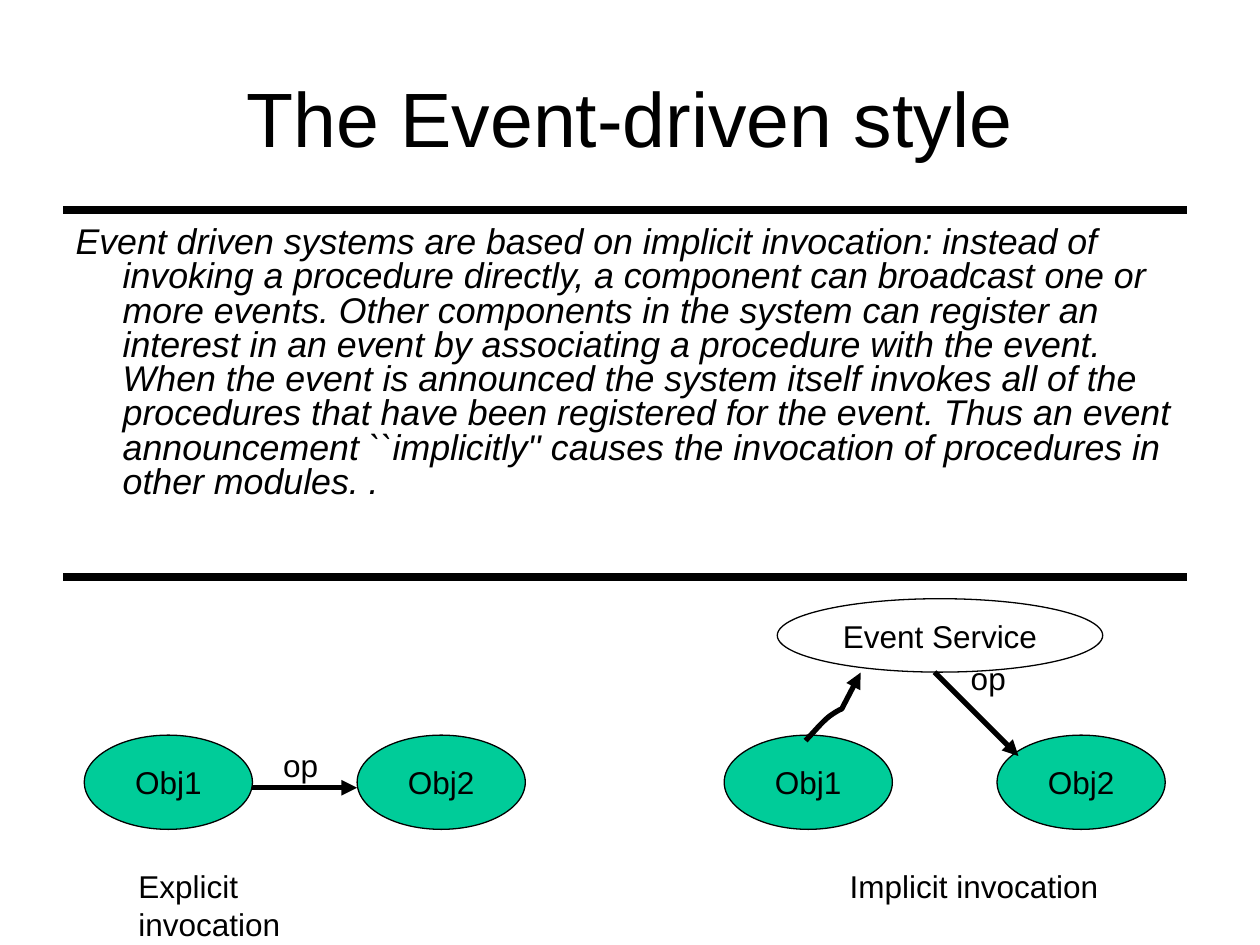
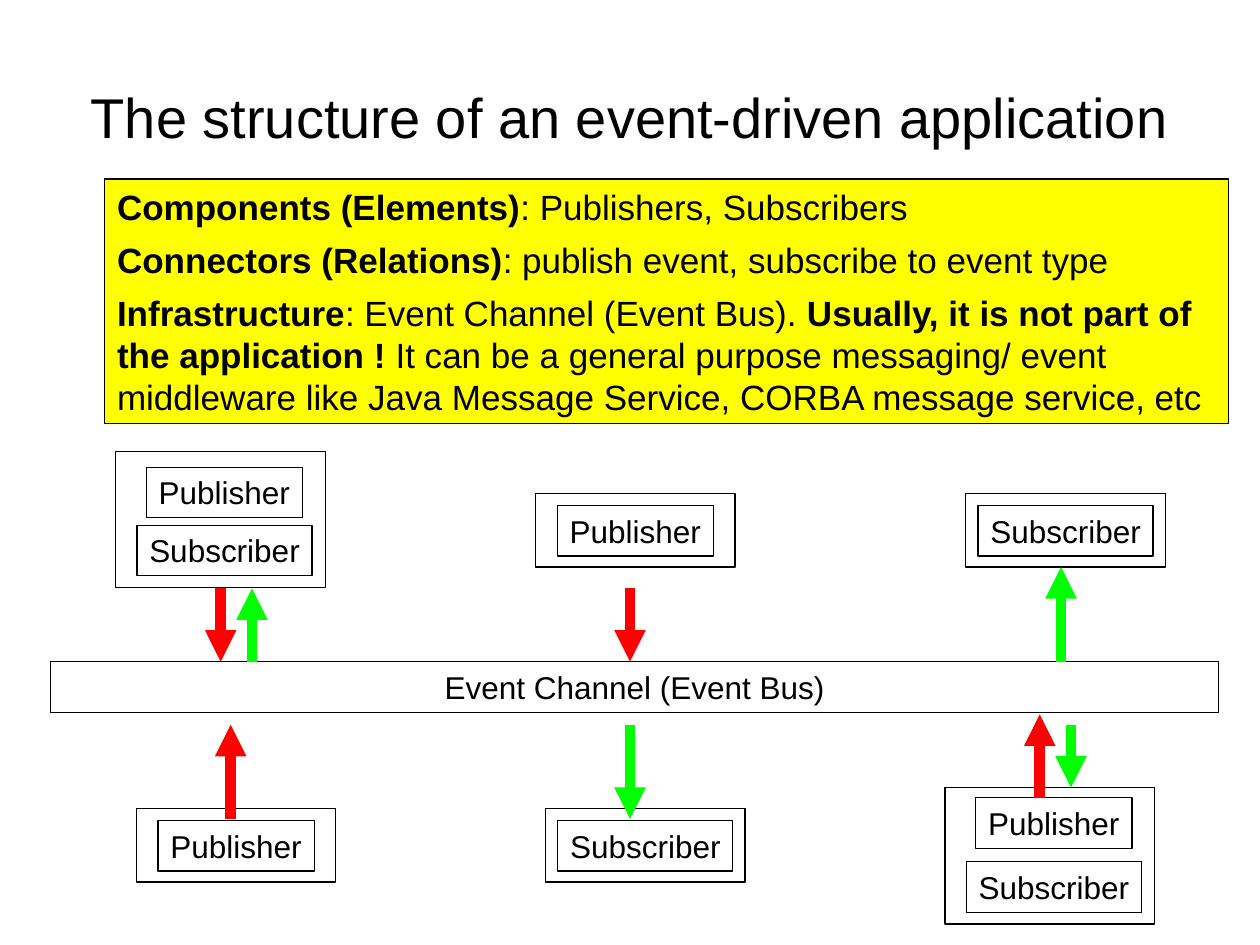
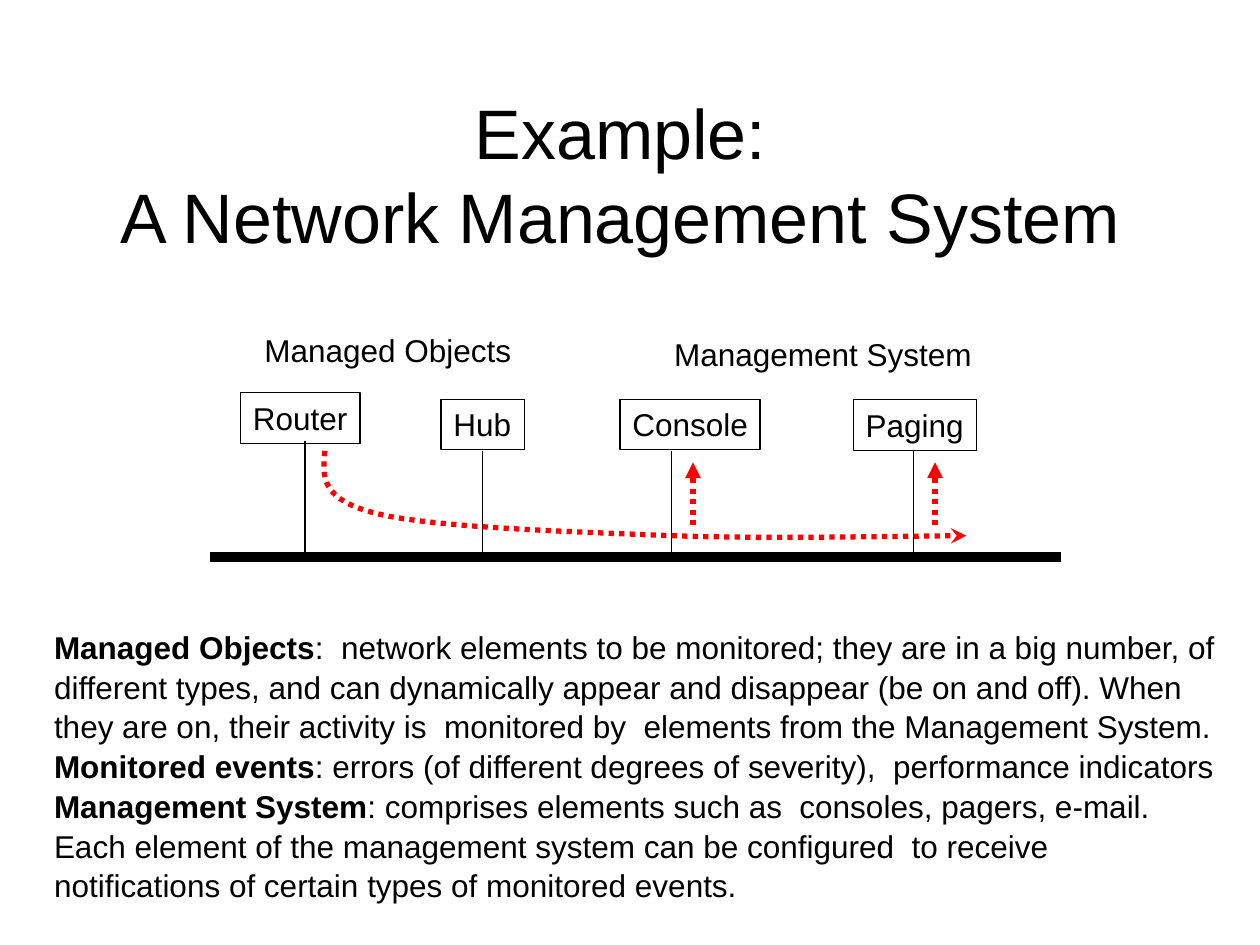
from pptx import Presentation
from pptx import util as u
from pptx.dml.color import RGBColor
from pptx.enum import dml, shapes, text
from pptx.oxml.ns import qn
from lxml import etree

COLORS = {"ink": "000000", "object": "00CC99", "note": "FFFF00",
          "publish": "FF0000", "notify": "00FF00"}
LABEL = {"name": "Arial", "size": u.Pt(18)}
NOTE = {**LABEL, "size": u.Pt(20)}
LABEL_H = 1.02
TITLE_ONLY, TITLE_BODY = 5, 1
RECT, OVAL = shapes.MSO_SHAPE.RECTANGLE, shapes.MSO_SHAPE.OVAL
CENTER, LEFT = text.PP_ALIGN.CENTER, text.PP_ALIGN.LEFT
TOP, MIDDLE = text.MSO_ANCHOR.TOP, text.MSO_ANCHOR.MIDDLE


def rgb(name):
    return RGBColor.from_string(COLORS[name])


def cm(*values):
    return [u.Cm(v) for v in values]


def set_attrs(obj, values):
    for name, value in values.items():
        setattr(obj, name, value)


def write(tf, paragraphs, font, frame=None, para=None, gap=0):
    """Fill a text frame; a paragraph is a list of (text, bold) runs."""
    set_attrs(tf, {"word_wrap": True, "vertical_anchor": TOP, **(frame or {})})
    for i, runs in enumerate(paragraphs):
        p = tf.paragraphs[0] if i == 0 else tf.add_paragraph()
        set_attrs(p, {"alignment": LEFT, "space_before": u.Pt(gap if i else 0),
                      **(para or {})})
        for words, bold in runs:
            r = p.add_run()
            r.text = words
            set_attrs(r.font, {**font, "bold": bold})
            r.font.color.rgb = rgb("ink")


def place(sp, box):
    sp.left, sp.top, sp.width, sp.height = cm(*box)


def add_slide(prs, layout, lines, size, top=0.76):
    s = prs.slides.add_slide(prs.slide_layouts[layout])
    sp = s.shapes.title
    place(sp, (1.27, top, 22.86, 3.18))
    write(sp.text_frame, [[(lines[0], False)]], {**LABEL, "size": u.Pt(size)},
          {"vertical_anchor": MIDDLE, "auto_size": text.MSO_AUTO_SIZE.NONE},
          {"alignment": CENTER})
    p = sp.text_frame.paragraphs[0]
    for line in lines[1:]:
        p.add_line_break()
        r = p.add_run()
        r.text = line
        set_attrs(r.font, {**LABEL, "size": u.Pt(size)})
        r.font.color.rgb = rgb("ink")
    return s


def style_line(line, color, width, dotted=False, head=None):
    line.color.rgb = rgb(color)
    line.width = u.Pt(width)
    if dotted:
        line.dash_style = dml.MSO_LINE.ROUND_DOT
    if head:
        ln = line.fill._xPr
        etree.SubElement(ln, qn("a:tailEnd"), type=head)


def add_line(s, start, end, color="ink", width=0.75, **style):
    sp = s.shapes.add_connector(shapes.MSO_CONNECTOR.STRAIGHT, *cm(*start, *end))
    style_line(sp.line, color, width, **style)
    etree.SubElement(sp._element.spPr, qn("a:effectLst"))


def add_outline(s, kind, box, fill=None):
    sp = s.shapes.add_shape(kind, *cm(*box))
    sp.shadow.inherit = False
    if fill:
        sp.fill.solid()
        sp.fill.fore_color.rgb = rgb(fill)
    else:
        sp.fill.background()
    style_line(sp.line, "ink", 0.75)
    return sp


def add_oval(s, words, box, fill=None):
    sp = add_outline(s, OVAL, box, fill)
    write(sp.text_frame, [[(words, False)]], LABEL,
          {"word_wrap": False, "vertical_anchor": MIDDLE}, {"alignment": CENTER})


def add_tag(s, words, left, top, width, align=LEFT):
    """Framed one-line label."""
    sp = add_outline(s, RECT, (left, top, width, LABEL_H))
    write(sp.text_frame, [[(words, False)]], LABEL, {"word_wrap": False},
          {"alignment": align})


def add_caption(s, words, left, top, width):
    sp = s.shapes.add_textbox(*cm(left, top, width, LABEL_H))
    write(sp.text_frame, [[(words, False)]], LABEL, {"word_wrap": False})


def bezier(p0, p1, p2, p3, steps=16):
    for i in range(1, steps + 1):
        t = i / steps
        weights = ((1 - t) ** 3, 3 * t * (1 - t) ** 2, 3 * t * t * (1 - t), t ** 3)
        yield tuple(sum(w * p[axis] for w, p in zip(weights, (p0, p1, p2, p3)))
                    for axis in (0, 1))


def add_curve(s, start, curves, end=None, color="ink", **style):
    points = [start]
    for c1, c2, stop in curves:
        points += bezier(points[-1], c1, c2, stop)
    if end:
        points.append(end)
    fb = s.shapes.build_freeform(*cm(*start))
    fb.add_line_segments([cm(*pt) for pt in points[1:]], close=False)
    sp = fb.convert_to_shape()
    sp.shadow.inherit = False
    sp.fill.background()
    style_line(sp.line, color, 3, **style)


def add_component(s, box, roles, shift=0):
    """Box with role tags centred in it, each at its own depth."""
    add_outline(s, RECT, box)
    left, top, width, _ = box
    for role, depth in roles:
        w = {"Publisher": 3.15, "Subscriber": 3.53}[role]
        add_tag(s, role, left + (width - w) / 2 + shift, top + depth, w)


def event_style(prs):
    s = add_slide(prs, TITLE_BODY, ["The Event-driven style"], 44)
    body = s.placeholders[1]
    place(body, (1.27, 4.45, 22.86, 6.76))
    p = body.text_frame.paragraphs[0]
    pPr = p._p.get_or_add_pPr()
    set_pairs = {"marL": u.Cm(0.95), "indent": -u.Cm(0.95)}
    for name, value in set_pairs.items():
        pPr.set(name, str(int(value)))
    etree.SubElement(pPr, qn("a:buNone"))
    write(body.text_frame, [[(
        "Event driven systems are based on implicit invocation: instead of invoking "
        "a procedure directly, a component can broadcast one or more events. Other "
        "components in the system can register an interest in an event by associating "
        "a procedure with the event. When the event is announced the system itself "
        "invokes all of the procedures that have been registered for the event. Thus "
        "an event announcement ``implicitly'' causes the invocation of procedures in "
        "other modules. .", False)]],
        {**LABEL, "size": u.Pt(20.4), "italic": True},
        {"auto_size": text.MSO_AUTO_SIZE.NONE}, {"line_spacing": 0.8})
    for y in (4.24, 11.63):
        add_line(s, (1.27, y), (23.93, y), width=4.5)

    for left in (1.7, 14.6):
        for i, name in enumerate(("Obj1", "Obj2")):
            add_oval(s, name, (left + 5.5 * i, 14.82, 3.39, 1.9), "object")
    add_oval(s, "Event Service", (15.67, 12.07, 6.56, 1.48))
    for start, end in (((5.08, 15.88), (7.2, 15.88)), ((18.84, 13.55), (20.53, 15.24))):
        add_line(s, start, end, width=3, head="triangle")
    add_curve(s, (16.24, 14.93), [((16.56, 14.6), (16.64, 14.45), (16.97, 14.29))],
              end=(17.35, 13.56), head="triangle")
    for caption in (("op", 5.46, 14.91, 1.22), ("op", 19.32, 13.16, 1.22),
                    ("Explicit invocation", 2.54, 17.36, 5.54),
                    ("Implicit invocation", 16.88, 17.36, 5.52)):
        add_caption(s, *caption)


def application_structure(prs):
    s = add_slide(prs, TITLE_ONLY, ["The structure of an event-driven application"], 32)
    sp = add_outline(s, RECT, (2.11, 3.61, 22.66, 4.93), "note")
    write(sp.text_frame, [
        [("Components (Elements)", True), (": Publishers, Subscribers", False)],
        [("Connectors (Relations)", True),
         (": publish event, subscribe to event type", False)],
        [("Infrastructure", True), (": Event Channel (Event Bus). ", False),
         ("Usually, it is not part of the application !", True),
         (" It can be a general purpose messaging/ event middleware like Java Message "
          "Service, CORBA message service, etc", False)]], NOTE, gap=6.2)

    single, double = (4.02, 1.48), (4.23, 2.75)
    for left, top, role in ((10.8, 9.95, "Publisher"), (19.47, 9.95, "Subscriber"),
                            (2.75, 16.3, "Publisher"), (11, 16.3, "Subscriber")):
        add_component(s, (left, top, *single), [(role, 0.24)])
    for left, top, depth in ((2.33, 9.1, 0.32), (19.05, 15.88, 0.2)):
        add_component(s, (left, top, *double),
                      [("Publisher", depth), ("Subscriber", 1.49)], shift=0.08)
    add_tag(s, "Event Channel (Event Bus)", 1.02, 13.34, 23.55, CENTER)

    arrows = {"publish": ((4.45, 11.86, 13.34), (20.96, 16.08, 14.4),
                          (12.7, 11.86, 13.34), (4.65, 16.51, 14.61)),
              "notify": ((5.08, 13.34, 11.86), (21.39, 13.34, 11.43),
                         (12.7, 14.61, 16.51), (21.59, 14.61, 15.88))}
    for color, spans in arrows.items():
        for x, y1, y2 in spans:
            add_line(s, (x, y1), (x, y2), color, 6, head="triangle")


def network_example(prs):
    s = add_slide(prs, TITLE_ONLY, ["Example: ", "A Network Management System "], 40, 1.91)
    add_caption(s, "Managed Objects", 5.08, 6.55, 5.49)
    add_caption(s, "Management System", 13.34, 6.63, 6.5)
    bus_y = 11.23
    add_line(s, (4.24, bus_y), (21.39, bus_y), width=6)
    for name, left, top, width, stem_x, stem_top in (
            ("Router", 4.85, 7.92, 2.41, 6.15, 8.89),
            ("Hub", 8.89, 8.05, 1.68, 9.73, 9.09),
            ("Console", 12.5, 8.05, 2.82, 13.54, 9.09),
            ("Paging", 17.2, 8.06, 2.49, 18.42, 9.09)):
        add_tag(s, name, left, top, width)
        add_line(s, (stem_x, stem_top), (stem_x, bus_y))
    for x in (13.97, 18.85):
        add_line(s, (x, 10.59), (x, 9.32), "publish", 3, dotted=True, head="triangle")
    add_curve(s, (6.55, 9.09), [((6.5, 9.6), (6.45, 10.08), (7.62, 10.36)),
                                ((8.79, 10.64), (11.58, 10.72), (13.54, 10.8)),
                                ((15.52, 10.87), (18.49, 10.8), (19.48, 10.8))],
              color="publish", dotted=True, head="stealth")
    sp = s.shapes.add_textbox(*cm(0.84, 12.5, 23.93, 6.65))
    write(sp.text_frame, [
        [("Managed Objects", True),
         (":  network elements to be monitored; they are in a big number, of different "
          "types, and can dynamically appear and disappear (be on and off). When they "
          "are on, their activity is  monitored by  elements from the Management "
          "System.", False)],
        [("Monitored events", True),
         (": errors (of different degrees of severity),  performance indicators", False)],
        [("Management System", True),
         (": comprises elements such as  consoles, pagers, e-mail. Each element of the "
          "management system can be configured  to receive notifications of certain "
          "types of monitored events.", False)]], LABEL, para={"line_spacing": 1.05})


def main():
    prs = Presentation()
    prs.slide_width, prs.slide_height = cm(25.4, 19.05)
    event_style(prs)
    application_structure(prs)
    network_example(prs)
    prs.save("out.pptx")


if __name__ == "__main__":
    main()
